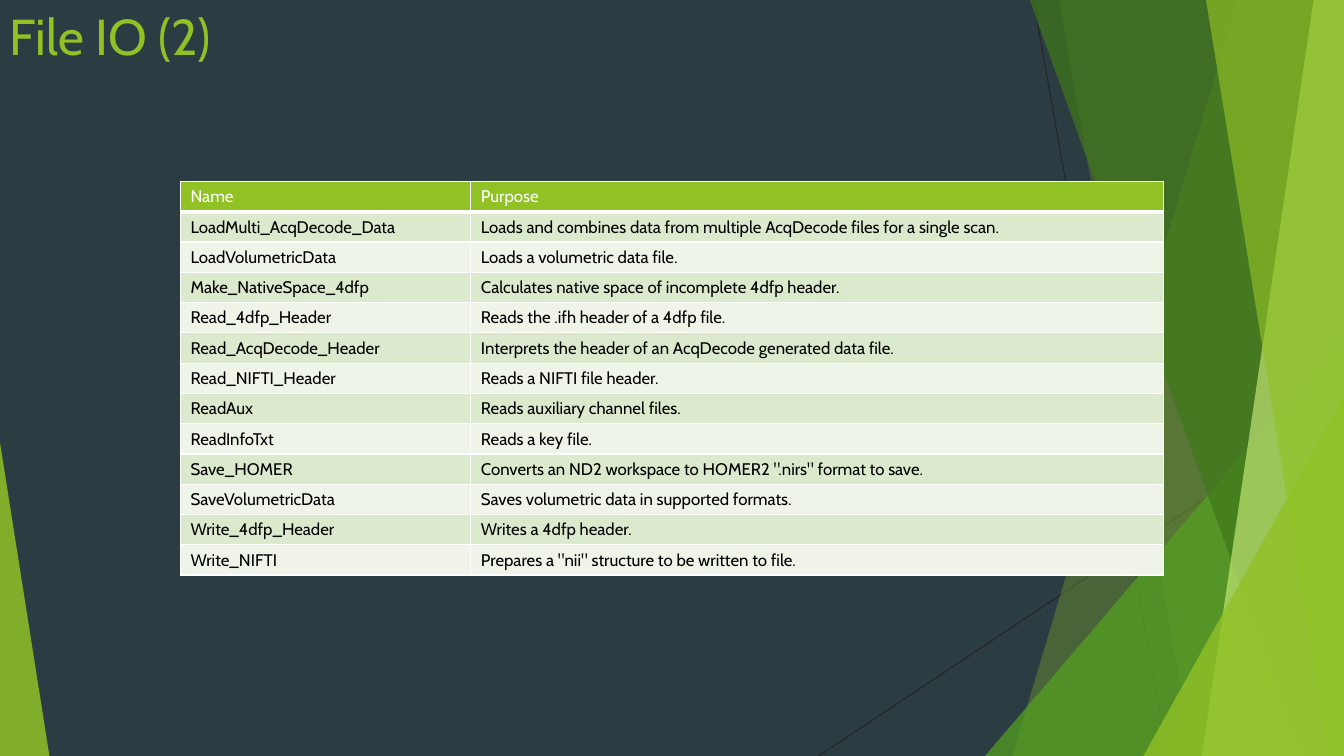
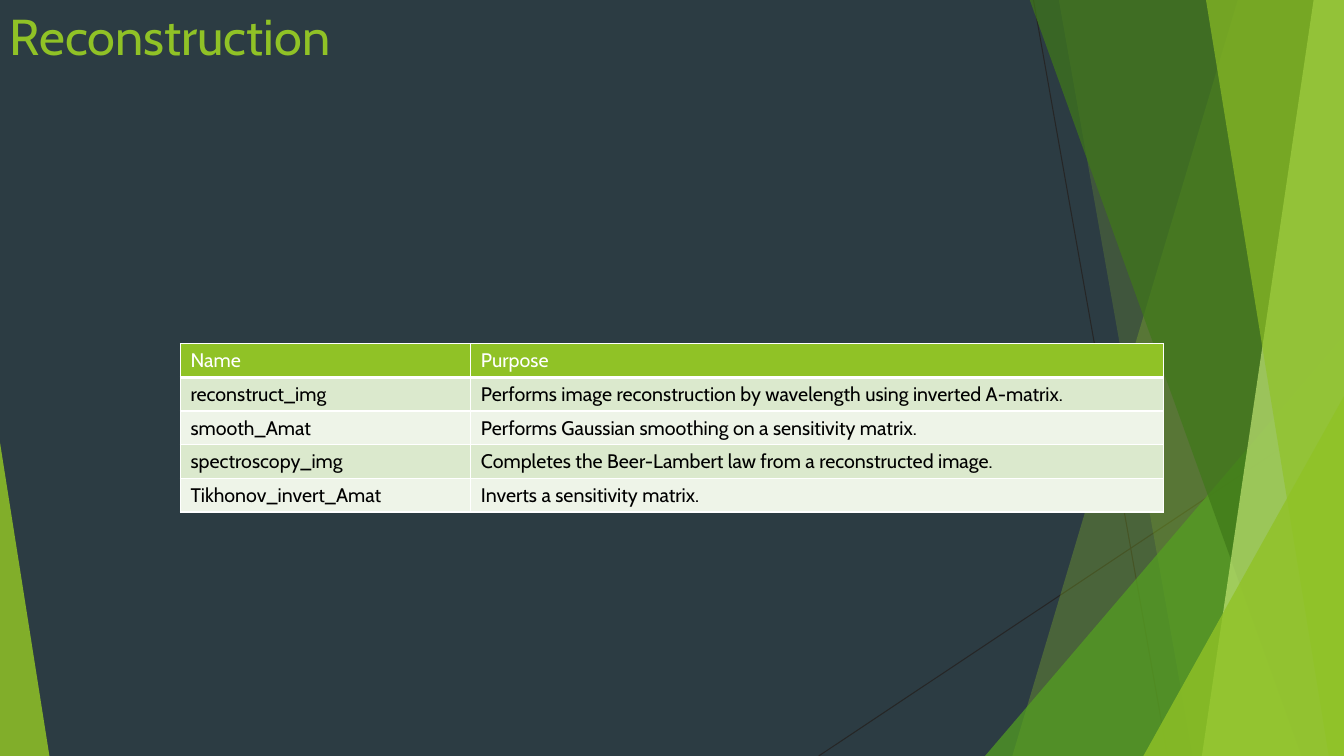
from dataclasses import dataclass

from pptx import Presentation
from pptx.dml.color import RGBColor
from pptx.enum.shapes import MSO_CONNECTOR, MSO_SHAPE
from pptx.oxml.ns import qn
from pptx.oxml.xmlchemy import OxmlElement
from pptx.shapes.autoshape import Shape
from pptx.slide import Slide
from pptx.table import _Cell
from pptx.text.text import _Paragraph
from pptx.util import Inches, Pt

COLORS = {
    "background": "2C3C43",
    "accent": "90C226",
    "green": "54A021",
    "dark_green": "3F7819",
    "light_green": "C0E474",
    "hairline": "262626",
    "white": "FFFFFF",
    "black": "000000",
    "band_odd": "DBE9CD",
    "band_even": "EEF4E8",
}
FONT = "Cabin"
SLIDE_WIDTH, SLIDE_HEIGHT = 13.33, 7.5
SHARD_TOP = -0.01
TABLE_LEFT = 1.79
COLUMN_WIDTHS = (2.88, 6.87)
HEADER = ("Name", "Purpose")


@dataclass(frozen=True)
class Hairline:
    start: tuple[float, float]
    end: tuple[float, float]


@dataclass(frozen=True)
class Shard:
    """A full-height area from a slanted left edge to the right slide edge."""
    top_x: float
    bottom_x: float
    color: str
    opacity: int


@dataclass(frozen=True)
class Wedge:
    """A triangle standing on the bottom slide edge."""
    left: float
    top: float
    width: float
    apex: float
    color: str
    opacity: int


@dataclass(frozen=True)
class FunctionTable:
    title: str
    top: float
    row_height: float
    font_size: int
    rows: tuple[tuple[str, str], ...]


HAIRLINES = (
    Hairline((10.25, 0), (11.58, SLIDE_HEIGHT)),
    Hairline((SLIDE_WIDTH, 4.03), (8.12, SLIDE_HEIGHT)),
)
FACETS = (
    Shard(12.28, 10.04, "accent", 30),
    Shard(10.5, 11.83, "accent", 20),
    Wedge(9.77, 3.33, 3.56, 1, "green", 72),
    Shard(10.21, 12.91, "dark_green", 70),
    Shard(13.03, 11.92, "light_green", 70),
    Shard(11.96, 13.18, "accent", 65),
    Wedge(11.34, 3.93, 1.99, 1, "accent", 80),
    Wedge(0, 4.39, 0.49, 0, "accent", 85),
)

FUNCTION_TABLES = (
    FunctionTable("File IO (2)", 1.8, 0.3, 12, (
        ("LoadMulti_AcqDecode_Data",
         "Loads and combines data from multiple AcqDecode files for a single scan."),
        ("LoadVolumetricData", "Loads a volumetric data file."),
        ("Make_NativeSpace_4dfp", "Calculates native space of incomplete 4dfp header."),
        ("Read_4dfp_Header", "Reads the .ifh header of a 4dfp file."),
        ("Read_AcqDecode_Header",
         "Interprets the header of an AcqDecode generated data file."),
        ("Read_NIFTI_Header", "Reads a NIFTI file header."),
        ("ReadAux", "Reads auxiliary channel files."),
        ("ReadInfoTxt", "Reads a key file."),
        ("Save_HOMER", 'Converts an ND2 workspace to HOMER2 ".nirs" format to save.'),
        ("SaveVolumetricData", "Saves volumetric data in supported formats."),
        ("Write_4dfp_Header", "Writes a 4dfp header."),
        ("Write_NIFTI", 'Prepares a "nii" structure to be written to file.'),
    )),
    FunctionTable("Reconstruction", 3.41, 0.33, 14, (
        ("reconstruct_img",
         "Performs image reconstruction by wavelength using inverted A-matrix."),
        ("smooth_Amat", "Performs Gaussian smoothing on a sensitivity matrix."),
        ("spectroscopy_img", "Completes the Beer-Lambert law from a reconstructed image."),
        ("Tikhonov_invert_Amat", "Inverts a sensitivity matrix."),
    )),
)


def rgb(name: str) -> RGBColor:
    return RGBColor.from_string(COLORS[name])


def style_paragraph(paragraph: _Paragraph, size: int, color: str) -> None:
    font = paragraph.font
    font.name = FONT
    font.size = Pt(size)
    font.bold = False
    font.color.rgb = rgb(color)


def add_hairline(slide: Slide, hairline: Hairline) -> None:
    points = [Inches(value) for value in hairline.start + hairline.end]
    connector = slide.shapes.add_connector(MSO_CONNECTOR.STRAIGHT, *points)
    connector.line.color.rgb = rgb("hairline")
    connector.line.width = Pt(0.75)
    connector.element.spPr.append(OxmlElement("a:effectLst"))


def add_shard(slide: Slide, shard: Shard) -> Shape:
    corners = [
        (Inches(x), Inches(y))
        for x, y in (
            (shard.top_x, SHARD_TOP),
            (SLIDE_WIDTH, SHARD_TOP),
            (SLIDE_WIDTH, SLIDE_HEIGHT),
            (shard.bottom_x, SLIDE_HEIGHT),
        )
    ]
    builder = slide.shapes.build_freeform(*corners[0])
    builder.add_line_segments(corners[1:], close=True)
    return builder.convert_to_shape()


def add_wedge(slide: Slide, wedge: Wedge) -> Shape:
    shape = slide.shapes.add_shape(
        MSO_SHAPE.ISOSCELES_TRIANGLE, Inches(wedge.left), Inches(wedge.top),
        Inches(wedge.width), Inches(SLIDE_HEIGHT - wedge.top))
    shape.adjustments[0] = wedge.apex
    return shape


def add_facet(slide: Slide, facet: Shard | Wedge) -> None:
    """Draw one translucent piece of the slide decoration."""
    add_outline = add_shard if isinstance(facet, Shard) else add_wedge
    shape = add_outline(slide, facet)
    shape.shadow.inherit = False
    shape.line.fill.background()
    shape.fill.solid()
    shape.fill.fore_color.rgb = rgb(facet.color)
    alpha = OxmlElement("a:alpha")
    alpha.set("val", str(facet.opacity * 1000))
    shape.element.spPr.find(qn("a:solidFill")).find(qn("a:srgbClr")).append(alpha)


def add_title(slide: Slide, title: str) -> None:
    box = slide.shapes.add_textbox(Inches(0), Inches(0), Inches(9.4), Inches(1.44))
    box.text_frame.word_wrap = True
    paragraph = box.text_frame.paragraphs[0]
    paragraph.text = title
    style_paragraph(paragraph, 36, "accent")


def add_borders(cell: _Cell, bottom_width: int) -> None:
    properties = cell._tc.get_or_add_tcPr()
    for side, width in (("L", 1), ("R", 1), ("T", 1), ("B", bottom_width)):
        border = OxmlElement(f"a:ln{side}")
        border.set("w", str(Pt(width)))
        fill = OxmlElement("a:solidFill")
        color = OxmlElement("a:srgbClr")
        color.set("val", COLORS["white"])
        fill.append(color)
        border.append(fill)
        properties.append(border)


def fill_cell(cell: _Cell, text: str, row_index: int, font_size: int) -> None:
    is_header = row_index == 0
    add_borders(cell, 3 if is_header else 1)
    cell.fill.solid()
    band = "band_odd" if row_index % 2 else "band_even"
    cell.fill.fore_color.rgb = rgb("accent" if is_header else band)
    cell.text = text
    style_paragraph(cell.text_frame.paragraphs[0], font_size,
                    "white" if is_header else "black")


def add_function_table(slide: Slide, content: FunctionTable) -> None:
    rows = (HEADER, *content.rows)
    table = slide.shapes.add_table(
        len(rows), len(HEADER), Inches(TABLE_LEFT), Inches(content.top),
        Inches(sum(COLUMN_WIDTHS)), Inches(content.row_height * len(rows))).table
    table.horz_banding = False
    for column, width in zip(table.columns, COLUMN_WIDTHS):
        column.width = Inches(width)
    for row_index, texts in enumerate(rows):
        table.rows[row_index].height = Inches(content.row_height)
        for column_index, text in enumerate(texts):
            fill_cell(table.cell(row_index, column_index), text, row_index,
                      content.font_size)


def add_function_slide(presentation: Presentation, content: FunctionTable) -> None:
    slide = presentation.slides.add_slide(presentation.slide_layouts[6])
    for hairline in HAIRLINES:
        add_hairline(slide, hairline)
    for facet in FACETS:
        add_facet(slide, facet)
    add_title(slide, content.title)
    add_function_table(slide, content)


def main() -> None:
    presentation = Presentation()
    presentation.slide_width = Inches(SLIDE_WIDTH)
    presentation.slide_height = Inches(SLIDE_HEIGHT)
    background = presentation.slide_master.background.fill
    background.solid()
    background.fore_color.rgb = rgb("background")
    for content in FUNCTION_TABLES:
        add_function_slide(presentation, content)
    presentation.save("out.pptx")


if __name__ == "__main__":
    main()
